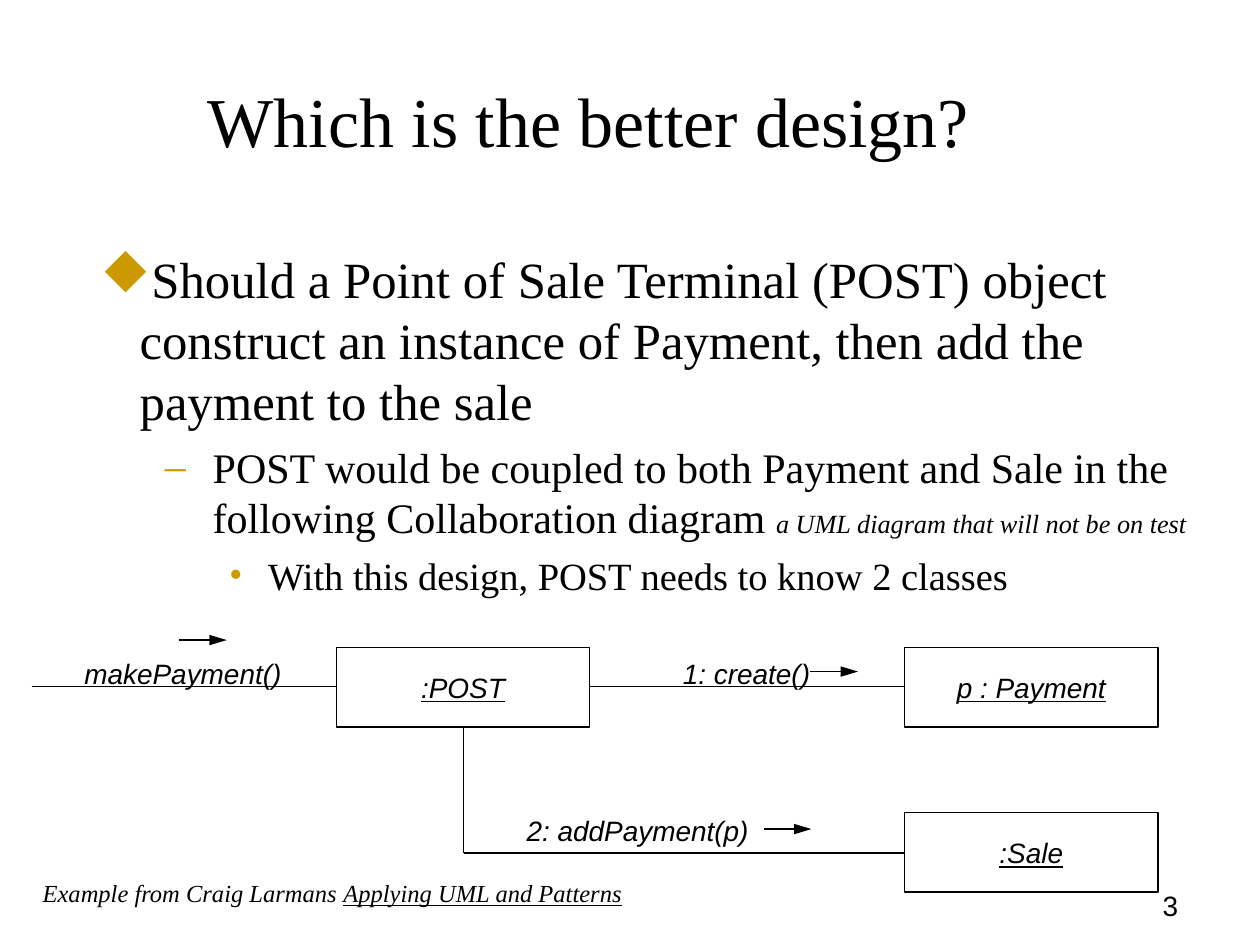
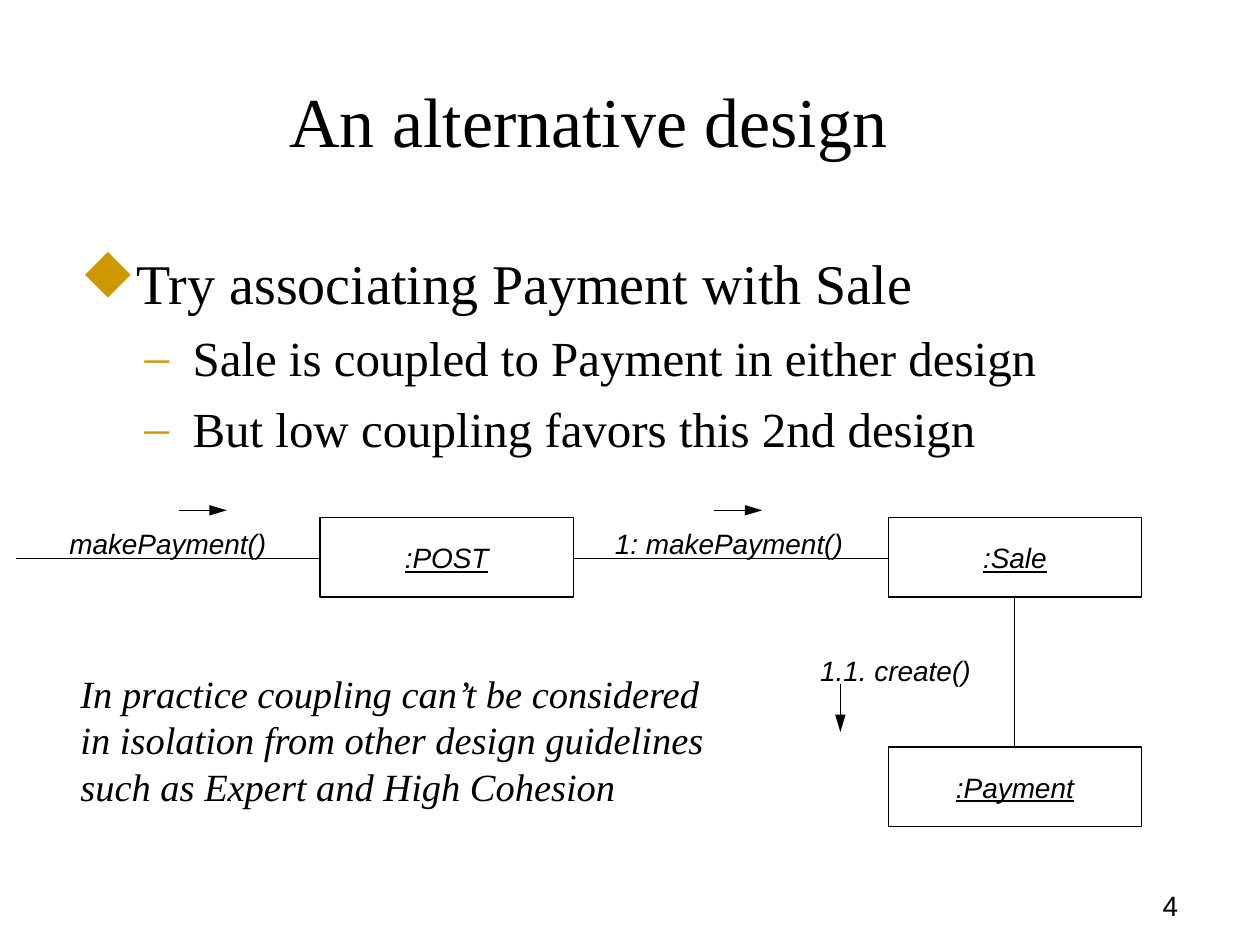
"""Build two slides that compare object designs by their coupling."""
from dataclasses import dataclass

from lxml import etree
from pptx import Presentation
from pptx.dml.color import RGBColor
from pptx.enum.shapes import MSO_CONNECTOR as Connector, MSO_SHAPE as Shape
from pptx.enum.text import MSO_ANCHOR as Anchor, PP_ALIGN as Align
from pptx.oxml.ns import qn
from pptx.util import Inches, Pt


@dataclass(frozen=True)
class Theme:
    ink: RGBColor = RGBColor(0, 0, 0)
    paper: RGBColor = RGBColor(255, 255, 255)
    bullet: str = "CC9900"
    serif: str = "Times New Roman"
    sans: str = "Arial"
    symbols: str = "Wingdings"
    title_size: int = 40
    label_size: int = 16
    remark_size: int = 22
    source_size: int = 14
    aside_size: int = 15
    line_width: float = 0.75


theme = Theme()
BOX_WIDTH, BOX_HEIGHT, ARROW_LENGTH = 2.01, 0.63, 0.38
BULLETS = {
    1: ("u", {"typeface": theme.symbols, "charset": "2"}, 0.43, 0.31),
    2: ("–", {"typeface": theme.serif}, 1.01, 0.38),
    3: ("•", {"typeface": theme.serif}, 1.45, 0.31),
}

slides = [
    {
        "title": "Which is the better design?",
        "body": (0.58, 9.08),
        "points": [
            (1, 29, 0, "Should a Point of Sale Terminal (POST) object construct an "
                       "instance of Payment, then add the payment to the sale", ""),
            (2, 24, 6, "POST would be coupled to both Payment and Sale in the following "
                       "Collaboration diagram ", "a UML diagram that will not be on test"),
            (3, 22, 5.5, "With this design, POST needs to know 2 classes", ""),
        ],
        "objects": [(":POST", 2.67, 5.14), ("p : Payment", 7.18, 5.14), (":Sale", 7.18, 6.45)],
        "links": [
            [(0.25, 5.45), (2.67, 5.45)],
            [(4.68, 5.45), (7.18, 5.45)],
            [(3.68, 5.77), (3.68, 6.77), (7.18, 6.77)],
        ],
        "messages": [
            ("makePayment()", 0.67, 5.21),
            ("1: create()", 5.42, 5.21),
            ("2: addPayment(p)", 4.18, 6.46),
        ],
        "arrows": [(1.42, 5.08, "right"), (6.43, 5.33, "right"), (6.06, 6.58, "right")],
        "remark": (0.24, 6.92, 4.81, 0.34, theme.source_size,
                   ["Example from Craig Larmans "], "Applying UML and Patterns"),
    },
    {
        "title": "An alternative design",
        "body": (0.42, 9.42),
        "points": [
            (1, 32, 0, "Try associating Payment with Sale", ""),
            (2, 28, 7, "Sale is coupled to Payment in either design", ""),
            (2, 28, 7, "But low coupling favors this 2nd design", ""),
        ],
        "objects": [(":POST", 2.54, 4.11), (":Sale", 7.05, 4.11), (":Payment", 7.05, 5.93)],
        "links": [
            [(0.13, 4.43), (2.54, 4.43)],
            [(4.55, 4.43), (7.05, 4.43)],
            [(8.05, 4.74), (8.05, 5.93)],
        ],
        "messages": [
            ("makePayment()", 0.55, 4.18),
            ("1: makePayment()", 4.88, 4.18),
            ("1.1. create()", 6.51, 5.19),
        ],
        "arrows": [(1.42, 4.05, "right"), (5.67, 4.05, "right"), (6.67, 5.43, "down")],
        "remark": (0.54, 5.27, 5.6, 1.2, theme.remark_size,
                   ["In practice coupling can’t be considered",
                    "in isolation from other design guidelines",
                    "such as Expert and High Cohesion"], ""),
    },
]


def style(paragraph, face, size, italic=False, underline=False):
    for span in paragraph.runs:
        font = span.font
        font.name, font.size, font.color.rgb = face, Pt(size), theme.ink
        font.italic, font.underline = italic, underline


def add_line(page, start, end):
    line = page.shapes.add_connector(
        Connector.STRAIGHT, *(Inches(value) for value in (*start, *end)))
    line.line.color.rgb = theme.ink
    line.line.width = Pt(theme.line_width)
    etree.SubElement(line._element.spPr, qn("a:effectLst"))
    return line


deck = Presentation()
deck.slide_width, deck.slide_height = Inches(10), Inches(7.5)

for number, content in enumerate(slides, start=3):
    page = deck.slides.add_slide(deck.slide_layouts[5])
    title = page.shapes.title
    title.left, title.top, title.width, title.height = map(Inches, (0.17, 0.5, 9, 0.83))
    title.text_frame.text = content["title"]
    title.text_frame.vertical_anchor = Anchor.BOTTOM
    title.text_frame.paragraphs[0].alignment = Align.CENTER
    style(title.text_frame.paragraphs[0], theme.serif, theme.title_size)

    left, width = content["body"]
    body = page.shapes.add_textbox(Inches(left), Inches(1.92), Inches(width), Inches(3))
    body.text_frame.word_wrap = True
    for index, (level, size, gap, text, aside) in enumerate(content["points"]):
        para = body.text_frame.add_paragraph() if index else body.text_frame.paragraphs[0]
        para.level = level - 1
        para.space_before = Pt(gap)
        symbol, face, indent, hanging = BULLETS[level]
        properties = para._p.get_or_add_pPr()
        properties.set("marL", str(Inches(indent)))
        properties.set("indent", str(-Inches(hanging)))
        color = etree.SubElement(properties, qn("a:buClr"))
        etree.SubElement(color, qn("a:srgbClr"), val=theme.bullet)
        etree.SubElement(properties, qn("a:buFont"), face)
        etree.SubElement(properties, qn("a:buChar"), char=symbol)
        para.text = text
        style(para, theme.serif, size)
        if aside:
            span = para.add_run()
            span.text = aside
            span.font.name, span.font.size = theme.serif, Pt(theme.aside_size)
            span.font.color.rgb, span.font.italic = theme.ink, True

    for name, left, top in content["objects"]:
        box = page.shapes.add_shape(
            Shape.RECTANGLE, Inches(left), Inches(top), Inches(BOX_WIDTH), Inches(BOX_HEIGHT))
        box.shadow.inherit = False
        box.fill.solid()
        box.fill.fore_color.rgb = theme.paper
        box.line.color.rgb = theme.ink
        box.line.width = Pt(theme.line_width)
        box.text_frame.text = name
        box.text_frame.vertical_anchor = Anchor.MIDDLE
        box.text_frame.paragraphs[0].alignment = Align.CENTER
        style(box.text_frame.paragraphs[0], theme.sans, theme.label_size, True, True)

    for link in content["links"]:
        for start, end in zip(link, link[1:]):
            add_line(page, start, end)

    for message, left, top in content["messages"]:
        label = page.shapes.add_textbox(Inches(left), Inches(top), Inches(2), Inches(0.27))
        frame = label.text_frame
        frame.margin_left = frame.margin_top = frame.margin_right = frame.margin_bottom = 0
        frame.text = message
        frame.word_wrap = True
        style(frame.paragraphs[0], theme.sans, theme.label_size, True)

    for left, top, direction in content["arrows"]:
        end = (left + ARROW_LENGTH, top) if direction == "right" else (left, top + ARROW_LENGTH)
        arrow = add_line(page, (left, top), end)
        etree.SubElement(arrow.line._get_or_add_ln(), qn("a:tailEnd"),
                         type="triangle", w="med", len="lg")

    *place, size, lines, work = content["remark"]
    remark = page.shapes.add_textbox(*map(Inches, place))
    remark.text_frame.word_wrap = True
    remark.text_frame.text = "\n".join(lines)
    for para in remark.text_frame.paragraphs:
        style(para, theme.serif, size, True)
    if work:
        span = remark.text_frame.paragraphs[0].add_run()
        span.text = work
        span.font.name, span.font.size = theme.serif, Pt(size)
        span.font.color.rgb = theme.ink
        span.font.italic = span.font.underline = True

    footer = page.shapes.add_textbox(Inches(9.13), Inches(7), Inches(0.6), Inches(0.37))
    footer.text_frame.text = str(number)
    style(footer.text_frame.paragraphs[0], theme.sans, theme.label_size)

deck.save("out.pptx")
